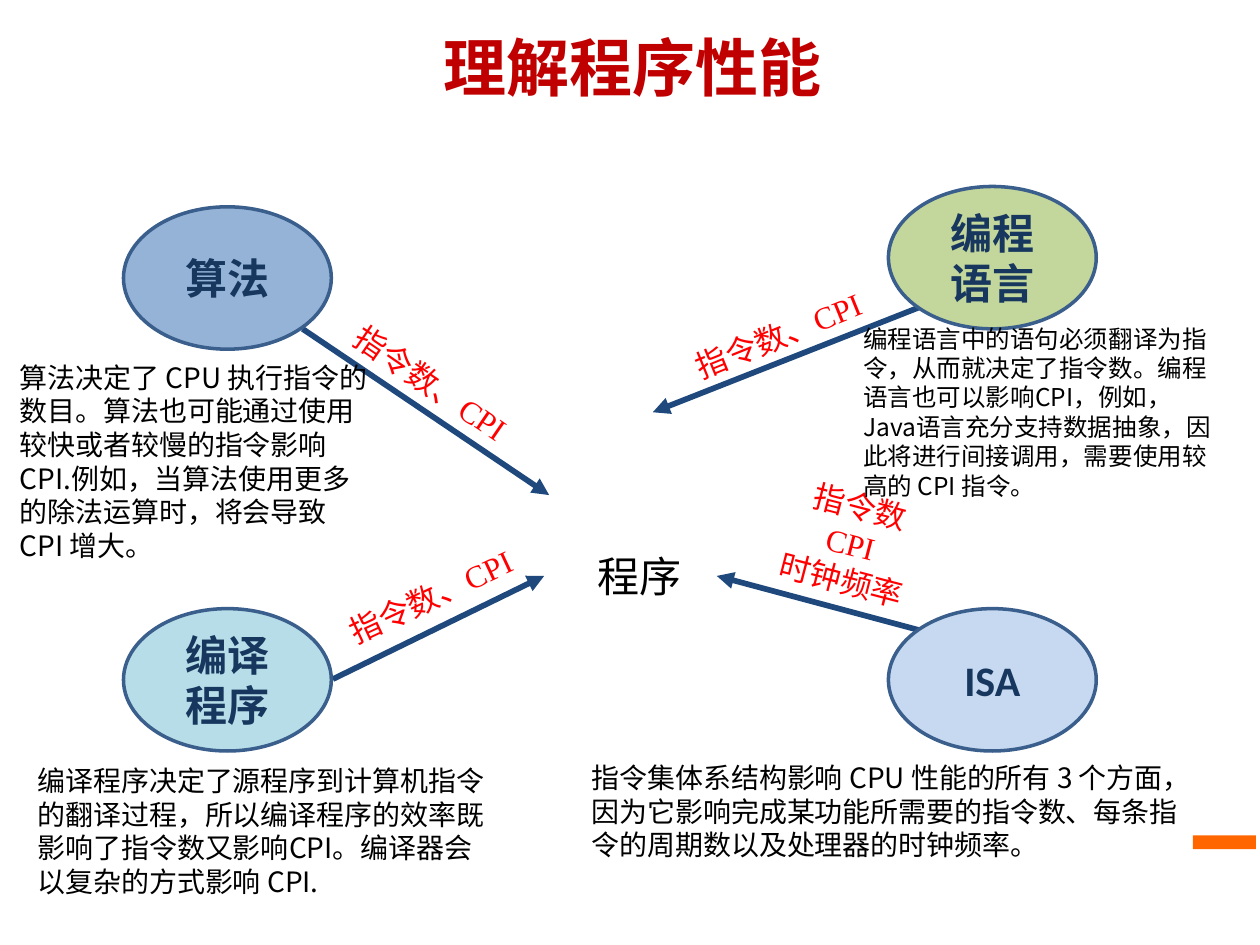
from lxml import etree
from pptx import Presentation
from pptx.dml.color import RGBColor
from pptx.enum.shapes import MSO_CONNECTOR, MSO_SHAPE
from pptx.enum.text import MSO_ANCHOR, PP_ALIGN
from pptx.oxml.ns import qn
from pptx.util import Cm, Pt

STRAIGHT = MSO_CONNECTOR.STRAIGHT
OVAL, RECT = MSO_SHAPE.OVAL, MSO_SHAPE.RECTANGLE
TOP, MIDDLE = MSO_ANCHOR.TOP, MSO_ANCHOR.MIDDLE
LEFT, CENTER = PP_ALIGN.LEFT, PP_ALIGN.CENTER

COLORS = {
    "title": "C00000", "text": "000000", "label": "FF0000", "node": "17375E",
    "outline": "3A5F8C", "arrow": "1F497D", "accent": "FF6600",
    "algorithm": "95B3D7", "language": "C3D69B", "compiler": "B7DEE8", "isa": "C6D9F1",
}
CJK, SERIF, SANS = "Noto Sans CJK SC", "Times New Roman", "Calibri"
NODE_W, NODE_H = 4.19, 2.87
LEFT_X, RIGHT_X, LOWER_Y = 2.49, 17.91, 12.27

NODES = [
    ("算法", LEFT_X, 4.17, "algorithm"),
    ("编程语言", RIGHT_X, 3.76, "language"),
    ("编译程序", LEFT_X, LOWER_Y, "compiler"),
    ("ISA", RIGHT_X, LOWER_Y, "isa"),
]
ARROWS = [
    (6.1, 6.63, 11.07, 9.98),
    (18.52, 6.2, 13.16, 8.31),
    (6.71, 13.69, 10.97, 11.61),
    (18.52, 12.7, 14.45, 11.61),
]
LABELS = [
    ("指令数、CPI", 5.84, 7.21, 1.04, 34.5),
    ("指令数、CPI", 12.85, 6.25, 1.04, 337.9),
    ("指令数、CPI", 5.84, 11.51, 1.04, 334.8),
    ("指令数\nCPI\n时钟频率", 14.3, 9.68, 2.59, 14.7),
]
NOTES = [
    ("指令集体系结构影响 CPU 性能的所有 3 个方面，因为它影响完成某功能所需要的指令数、"
     "每条指令的周期数以及处理器的时钟频率。", 11.68, 15.21, 12.42, 2.31, 16),
    ("算法决定了 CPU 执行指令的数目。算法也可能通过使用较快或者较慢的指令影响 CPI."
     "例如，当算法使用更多的除法运算时，将会导致 CPI 增大。", 0.15, 7.14, 7.57, 4.37, 16),
    ("编程语言中的语句必须翻译为指令，从而就决定了指令数。编程语言也可以影响CPI，例如，"
     "Java语言充分支持数据抽象，因此将进行间接调用，需要使用较高的 CPI 指令。",
     17.15, 6.4, 7.75, 3.86, 14),
    ("编译程序决定了源程序到计算机指令的翻译过程，所以编译程序的效率既影响了指令数又影响CPI。"
     "编译器会以复杂的方式影响 CPI.", 0.51, 15.27, 9.53, 3, 16),
]


class SlideBuilder:
    """Draw styled elements on one slide."""

    def __init__(self, slide):
        self.shapes = slide.shapes

    def color(self, name):
        return RGBColor.from_string(COLORS[name])

    def set_text(self, sp, text, size, font, color, bold=False, align=CENTER, anchor=TOP):
        tf = sp.text_frame
        tf.word_wrap = True
        tf.vertical_anchor = anchor
        tf.text = text
        for p in tf.paragraphs:
            p.alignment = align
            for r in p.runs:
                r.font.size, r.font.name, r.font.bold = Pt(size), font, bold
                r.font.color.rgb = self.color(color)
                ea = etree.SubElement(r._r.get_or_add_rPr(), qn("a:ea"))
                ea.set("typeface", CJK)

    def text(self, text, x, y, w, h, size, font, color, rotation=0, **style):
        sp = self.shapes.add_textbox(Cm(x), Cm(y), Cm(w), Cm(h))
        sp.rotation = rotation
        self.set_text(sp, text, size, font, color, **style)

    def shape(self, kind, x, y, w, h, fill):
        sp = self.shapes.add_shape(kind, Cm(x), Cm(y), Cm(w), Cm(h))
        sp.shadow.inherit = False
        sp.fill.solid()
        sp.fill.fore_color.rgb = self.color(fill)
        sp.line.fill.background()
        return sp

    def node(self, text, x, y, fill):
        sp = self.shape(OVAL, x, y, NODE_W, NODE_H, fill)
        sp.line.color.rgb = self.color("outline")
        sp.line.width = Pt(2)
        self.set_text(sp, text, 24, SANS, "node", bold=True, anchor=MIDDLE)

    def arrow(self, x1, y1, x2, y2):
        line = self.shapes.add_connector(STRAIGHT, Cm(x1), Cm(y1), Cm(x2), Cm(y2))
        line.line.color.rgb = self.color("arrow")
        line.line.width = Pt(3.25)
        sp_pr = line._element.spPr
        etree.SubElement(sp_pr.find(qn("a:ln")), qn("a:tailEnd")).set("type", "triangle")
        etree.SubElement(sp_pr, qn("a:effectLst"))


def main():
    prs = Presentation()
    prs.slide_width, prs.slide_height = Cm(25.4), Cm(19.05)
    s = SlideBuilder(prs.slides.add_slide(prs.slide_layouts[6]))

    s.text("理解程序性能", 1.09, 0.38, 23.34, 1.9, 36, CJK, "title", bold=True, anchor=MIDDLE)
    s.shape(RECT, 24.05, 16.84, 1.27, 0.28, "accent")
    s.text("程序", 10.97, 10.97, 3.86, 1.3, 24, SERIF, "text")
    for arrow in ARROWS:
        s.arrow(*arrow)
    for node in NODES:
        s.node(*node)
    for text, x, y, h, rotation in LABELS:
        s.text(text, x, y, 5.69, h, 18, SERIF, "label", rotation)
    for text, x, y, w, h, size in NOTES:
        s.text(text, x, y, w, h, size, CJK, "text", align=LEFT)

    prs.save("out.pptx")


if __name__ == "__main__":
    main()
